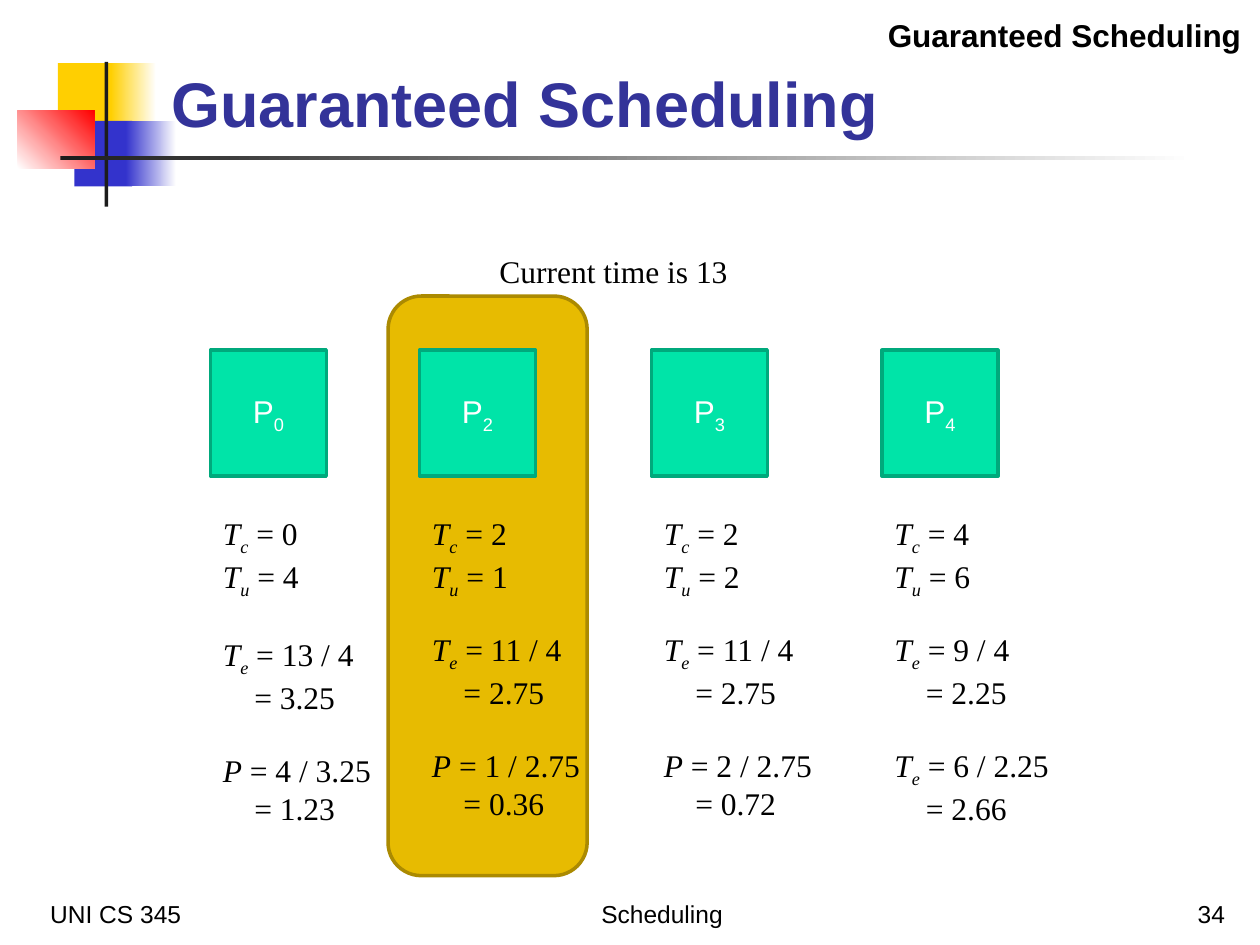
import pptx
import pptx.util
import pptx.dml.color
import pptx.enum.shapes
import pptx.enum.text

RGBColor = pptx.dml.color.RGBColor
BLACK = RGBColor(0x00, 0x00, 0x00)
WHITE = RGBColor(0xFF, 0xFF, 0xFF)
YELLOW = RGBColor(0xFF, 0xCF, 0x01)
BLUE = RGBColor(0x33, 0x33, 0xCC)
RED = RGBColor(0xFF, 0x00, 0x00)
CHARCOAL = RGBColor(0x1C, 0x1C, 0x1C)
NAVY = RGBColor(0x33, 0x33, 0x99)
GOLD = RGBColor(0xE7, 0xBB, 0x01)
DARK_GOLD = RGBColor(0xAB, 0x8A, 0x01)
GREEN = RGBColor(0x00, 0xE4, 0xA8)
DARK_GREEN = RGBColor(0x00, 0xA9, 0x7C)

Shape = pptx.enum.shapes.MSO_SHAPE
Align = pptx.enum.text.PP_ALIGN
Anchor = pptx.enum.text.MSO_ANCHOR
Fit = pptx.enum.text.MSO_AUTO_SIZE
Pt = pptx.util.Pt

deck = pptx.Presentation()
deck.slide_width = pptx.util.Inches(10)
deck.slide_height = pptx.util.Inches(7.5)
page = deck.slides.add_slide(deck.slide_layouts[5])
COLUMN = deck.slide_width // 100
ROW = deck.slide_height // 75


def grid(column, row, columns, rows):
    return [int(column * COLUMN), int(row * ROW), int(columns * COLUMN), int(rows * ROW)]


def write(para, pieces, font_name, size, color, align=Align.LEFT):
    para.alignment = align
    para.font.name = font_name
    para.font.size = Pt(size)
    para.font.color.rgb = color
    for text, style in pieces:
        span = para.add_run()
        span.text = text
        if "i" in style:
            span.font.italic = True
        if "b" in style:
            span.font.bold = True
        if "s" in style:
            span.font._element.set("baseline", "-25000")


decoration = [
    ((4.6, 5, 4.8, 5.2), YELLOW, YELLOW, 0),
    ((8.8, 5, 3.6, 5.2), YELLOW, WHITE, 0),
    ((5.9, 9.6, 4.6, 5.2), BLUE, BLUE, 0),
    ((10, 9.6, 4, 5.2), BLUE, WHITE, 0),
    ((1.4, 8.8, 6.1, 4.6), WHITE, RED, 45),
    ((8.3, 4.9, 0.3, 11.5), CHARCOAL, CHARCOAL, 0),
    ((4.8, 12.4, 90, 0.3), CHARCOAL, WHITE, 0),
]
for place, start, end, angle in decoration:
    block = page.shapes.add_shape(Shape.RECTANGLE, *grid(*place))
    block.shadow.inherit = False
    block.line.fill.background()
    if start == end:
        block.fill.solid()
        block.fill.fore_color.rgb = start
    else:
        block.fill.gradient()
        block.fill.gradient_angle = angle
        for stop, color in zip(block.fill.gradient_stops, (start, end)):
            stop.color.rgb = color

highlight = page.shapes.add_shape(Shape.ROUNDED_RECTANGLE, *grid(30.8, 23.5, 15.8, 46))
highlight.shadow.inherit = False
highlight.fill.solid()
highlight.fill.fore_color.rgb = GOLD
highlight.line.color.rgb = DARK_GOLD
highlight.line.width = Pt(2)

title = page.shapes.title
title.left, title.top, title.width, title.height = grid(12.6, 2.1, 85.2, 9.5)
title.text_frame.auto_size = Fit.NONE
title.text_frame.vertical_anchor = Anchor.BOTTOM
write(title.text_frame.paragraphs[0], [("Guaranteed Scheduling", "b")], "Arial", 36, NAVY)
page.shapes._spTree.append(title._element)

labels = [
    ((3, 69.2, 20.8, 5), "UNI CS 345", "", "Arial", 14, Align.LEFT),
    ((36.7, 69.2, 31.7, 5), "Scheduling", "", "Arial", 14, Align.CENTER),
    ((77.4, 69.2, 20.8, 5), "34", "", "Arial", 14, Align.RIGHT),
    ((33.3, 19.5, 30.8, 4), "Current time is 13", "", "Times New Roman", 18, Align.CENTER),
    ((66.1, 0.8, 33.4, 4), "Guaranteed Scheduling", "b", "Arial", 18, Align.RIGHT),
]
for place, text, style, font_name, size, align in labels:
    box = page.shapes.add_textbox(*grid(*place))
    box.text_frame.word_wrap = True
    box.text_frame.vertical_anchor = Anchor.BOTTOM if size == 14 else Anchor.TOP
    write(box.text_frame.paragraphs[0], [(text, style)], font_name, size, BLACK, align)

processes = [
    (16.7, "0", "0", "4", "13 / 4", "3.25", "P", "", "4 / 3.25", "1.23", 0.4),
    (33.3, "2", "2", "1", "11 / 4", "2.75", "P", "", "1 / 2.75", "0.36", 0),
    (51.7, "3", "2", "2", "11 / 4", "2.75", "P", "", "2 / 2.75", "0.72", 0),
    (70, "4", "4", "6", "9 / 4", "2.25", "T", "e", "6 / 2.25", "2.66", 0),
]
FORMULA_TOP, FORMULA_STEP = 40.3, 9.2
for (left, number, created, used, entitled, entitled_value,
     symbol, subscript, ratio, ratio_value, drop) in processes:
    square = page.shapes.add_shape(Shape.RECTANGLE, *grid(left, 27.8, 9.2, 10))
    square.shadow.inherit = False
    square.fill.solid()
    square.fill.fore_color.rgb = GREEN
    square.line.color.rgb = DARK_GREEN
    square.line.width = Pt(2)
    square.text_frame.vertical_anchor = Anchor.MIDDLE
    write(square.text_frame.paragraphs[0], [("P", ""), (number, "s")],
          "Arial", 18, WHITE, Align.CENTER)

    formulas = [
        (9.2, 0, [("T", "c", created), ("T", "u", used)]),
        (13, drop, [("T", "e", entitled), ("", "", entitled_value)]),
        (15, drop, [(symbol, subscript, ratio), ("", "", ratio_value)]),
    ]
    for index, (columns, shift, lines) in enumerate(formulas):
        top = FORMULA_TOP + index * FORMULA_STEP + shift
        box = page.shapes.add_textbox(*grid(left, top, columns, 7))
        frame = box.text_frame
        frame.word_wrap = True
        frame.auto_size = Fit.SHAPE_TO_FIT_TEXT
        for line, (letter, small, value) in enumerate(lines):
            para = frame.add_paragraph() if line else frame.paragraphs[0]
            if letter:
                pieces = [(letter, "i"), (small, "is"), (" = " + value, "")]
            else:
                pieces = [("= " + value, "")]
                para._p.get_or_add_pPr().set("marL", str(Pt(18)))
            write(para, [piece for piece in pieces if piece[0]], "Times New Roman", 18, BLACK)

deck.save("out.pptx")
